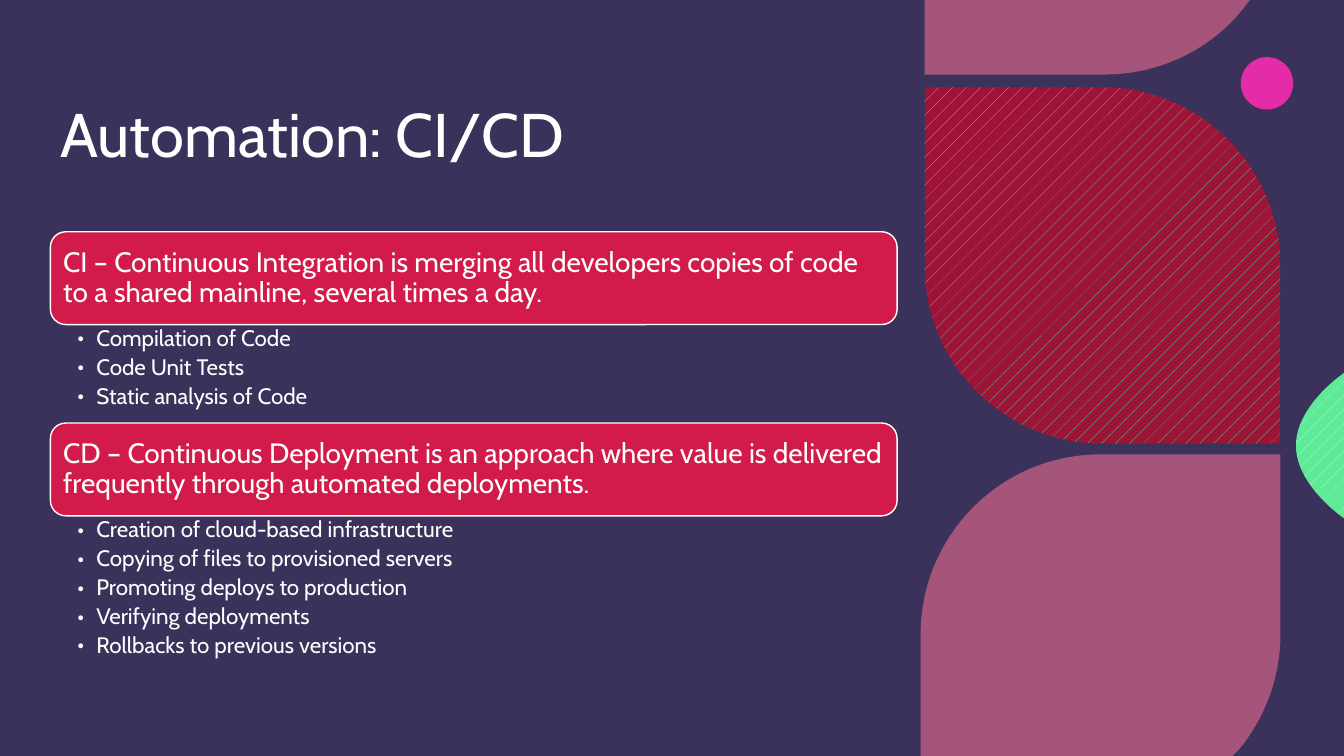
"""Build the slide "Automation: CI/CD"."""
from dataclasses import dataclass
from typing import Any, Optional

import pptx
import pptx.dml.color
import pptx.enum.dml
import pptx.enum.shapes
import pptx.enum.text
import pptx.oxml.ns
import pptx.util
from lxml import etree

Cm = pptx.util.Cm
Pt = pptx.util.Pt
qn = pptx.oxml.ns.qn
SHAPE = pptx.enum.shapes.MSO_SHAPE
ANCHOR = pptx.enum.text.MSO_ANCHOR
LEFT = pptx.enum.text.PP_ALIGN.LEFT


@dataclass(frozen=True)
class Theme:
    """Colours, font and type sizes of the slide."""
    back: str = "2A2441"
    veil: str = "554883"
    dot: str = "E42CA9"
    petal: str = "ED6D8F"
    crimson: str = "9E1338"
    green: str = "5EEB98"
    mint: str = "C9F8DD"
    card: str = "D21A4B"
    text: str = "FFFFFF"
    font: str = "Cabin"
    title: int = 44
    headline: int = 20
    bullet: int = 16


@dataclass(frozen=True)
class Fill:
    """A solid fill, or a dotted pattern when a foreground is given."""
    color: str
    alpha: int = 100
    fore: Optional[str] = None


@dataclass(frozen=True)
class Petal:
    """A closed outline in cm: pairs are lines, sextuples are Bezier curves."""
    fill: Fill
    start: tuple[float, float]
    steps: tuple[tuple[float, ...], ...]


@dataclass(frozen=True)
class Section:
    """A headline card with the bullets below it."""
    headline: str
    bullets: tuple[str, ...]
    list_height: float


T = Theme()
WIDTH, HEIGHT = 33.87, 19.05
MARGIN, COLUMN = 1.27, 21.34
CARD_TOP, CARD_HEIGHT = 5.84, 2.34
SIDES = ("left", "top", "right", "bottom")

PINK = Fill(T.petal, alpha=60)
PETALS = (
    Petal(PINK, (23.3, 0), (
        (31.5, 0), (31.32, 0.23),
        (30.51, 1.24, 29.24, 1.88, 27.81, 1.88), (23.3, 1.88))),
    Petal(PINK, (27.74, 11.45), (
        (32.27, 11.45), (32.27, 15.98),
        (32.27, 17.07, 31.88, 18.08, 31.24, 18.87),
        (31.06, HEIGHT), (23.2, HEIGHT), (23.2, 16),
        (23.2, 13.49, 25.22, 11.45, 27.74, 11.45))),
    Petal(Fill(T.green, fore=T.mint), (WIDTH, 9.4), (
        (WIDTH, 13.06),
        (WIDTH, 13.06, 32.66, 12.24, 32.66, 11.23),
        (32.66, 10.21, WIDTH, 9.4, WIDTH, 9.4))),
    Petal(Fill(T.crimson, fore=T.green), (32.27, 11.18), (
        (27.79, 11.18),
        (25.3, 11.18, 23.3, 9.17, 23.3, 6.68),
        (23.3, 2.2), (27.79, 2.2),
        (30.25, 2.2, 32.27, 4.22, 32.27, 6.71))),
)
SECTIONS = (
    Section("CI – Continuous Integration is merging all developers copies of "
            "code to a shared mainline, several times a day.",
            ("Compilation of Code", "Code Unit Tests",
             "Static analysis of Code"), 2.48),
    Section("CD – Continuous Deployment is an approach where value is "
            "delivered frequently through automated deployments.",
            ("Creation of cloud-based infrastructure",
             "Copying of files to provisioned servers",
             "Promoting deploys to production", "Verifying deployments",
             "Rollbacks to previous versions"), 4.14),
)


def rgb(color: str) -> pptx.dml.color.RGBColor:
    """Return the colour object of a hex string."""
    return pptx.dml.color.RGBColor.from_string(color)


def apply(target: Any, values: dict[str, Any]) -> None:
    """Set every attribute named in values."""
    for name, value in values.items():
        setattr(target, name, value)


def box(x: float, y: float, w: float, h: float) -> tuple[int, ...]:
    """Return left, top, width and height from cm."""
    return tuple(Cm(v) for v in (x, y, w, h))


def paint(sp: Any, fill: Fill, line: Optional[str] = None) -> None:
    """Give a shape its fill and line, without shadow."""
    sp.shadow.inherit = False
    if fill.fore:
        sp.fill.patterned()
        sp.fill.pattern = pptx.enum.dml.MSO_PATTERN.PERCENT_5
        sp.fill.fore_color.rgb = rgb(fill.fore)
        sp.fill.back_color.rgb = rgb(fill.color)
    else:
        sp.fill.solid()
        sp.fill.fore_color.rgb = rgb(fill.color)
    if fill.alpha < 100:
        clr = sp.fill._xPr.find(".//" + qn("a:srgbClr"))
        etree.SubElement(clr, qn("a:alpha"), val=str(fill.alpha * 1000))
    if line:
        sp.line.color.rgb = rgb(line)
        sp.line.width = Pt(1)
    else:
        sp.line.fill.background()


def add_petal(s: Any, petal: Petal) -> None:
    """Draw one petal; each curve's three segments become one Bezier."""
    points = [(Cm(step[i]), Cm(step[i + 1]))
              for step in petal.steps for i in range(0, len(step), 2)]
    builder = s.shapes.build_freeform(*(Cm(v) for v in petal.start))
    builder.add_line_segments(points, close=True)
    sp = builder.convert_to_shape()
    segments = iter(list(sp._element.iter(qn("a:lnTo"))))
    for step in petal.steps:
        first = next(segments)
        if len(step) == 6:
            first.tag = qn("a:cubicBezTo")
            for _ in range(2):
                extra = next(segments)
                first.append(extra[0])
                extra.getparent().remove(extra)
    paint(sp, petal.fill)


def write(tf: Any, lines: tuple[str, ...], size: int, frame: dict[str, Any],
          bullet: bool = False) -> None:
    """Fill a text frame with one paragraph per line."""
    apply(tf, {"word_wrap": True, **frame})
    for i, line in enumerate(lines):
        p = tf.add_paragraph() if i else tf.paragraphs[0]
        apply(p, {"alignment": LEFT, "line_spacing": 0.9})
        if bullet:
            apply(p, {"level": 1, "space_after": Pt(3.4)})
            pPr = p._p.get_or_add_pPr()
            pPr.set("marL", str(Cm(0.48)))
            pPr.set("indent", str(-Cm(0.48)))
            etree.SubElement(pPr, qn("a:buFont"), typeface=T.font)
            etree.SubElement(pPr, qn("a:buChar"), char="•")
        r = p.add_run()
        r.text = line
        apply(r.font, {"name": T.font, "size": Pt(size)})
        r.font.color.rgb = rgb(T.text)


def add_section(s: Any, section: Section, top: float) -> float:
    """Draw a card and its bullets; return the bottom edge in cm."""
    sp = s.shapes.add_shape(SHAPE.ROUNDED_RECTANGLE,
                            *box(MARGIN, top, COLUMN, CARD_HEIGHT))
    paint(sp, Fill(T.card), T.text)
    write(sp.text_frame, (section.headline,), T.headline,
          {"vertical_anchor": ANCHOR.MIDDLE,
           **{f"margin_{side}": Cm(0.21) for side in SIDES}})
    top += CARD_HEIGHT
    sp = s.shapes.add_textbox(*box(MARGIN, top, COLUMN, section.list_height))
    insets = zip(SIDES, (0.68, 0.07, 0.41, 0.07))
    write(sp.text_frame, section.bullets, T.bullet,
          {f"margin_{side}": Cm(v) for side, v in insets}, bullet=True)
    return top + section.list_height


def main() -> None:
    """Build and save the slide."""
    prs = pptx.Presentation()
    apply(prs, {"slide_width": Cm(WIDTH), "slide_height": Cm(HEIGHT)})
    s = prs.slides.add_slide(prs.slide_layouts[5])
    s.background.fill.solid()
    s.background.fill.fore_color.rgb = rgb(T.back)

    veil = s.shapes.add_shape(SHAPE.RECTANGLE, *box(0, 0, WIDTH, HEIGHT))
    paint(veil, Fill(T.veil, alpha=40))
    dot = s.shapes.add_shape(SHAPE.OVAL, *box(31.27, 1.44, 1.32, 1.32))
    paint(dot, Fill(T.dot))
    for petal in PETALS:
        add_petal(s, petal)

    title = s.shapes.title
    s.shapes._spTree.append(title._element)  # bring the title above the veil
    apply(title, dict(zip(("left", "top", "width", "height"),
                          box(MARGIN, 0.74, COLUMN, 3.68))))
    write(title.text_frame, ("Automation: CI/CD",), T.title,
          {"vertical_anchor": ANCHOR.BOTTOM})

    top = CARD_TOP
    for section in SECTIONS:
        top = add_section(s, section, top)
    prs.save("out.pptx")


main()
